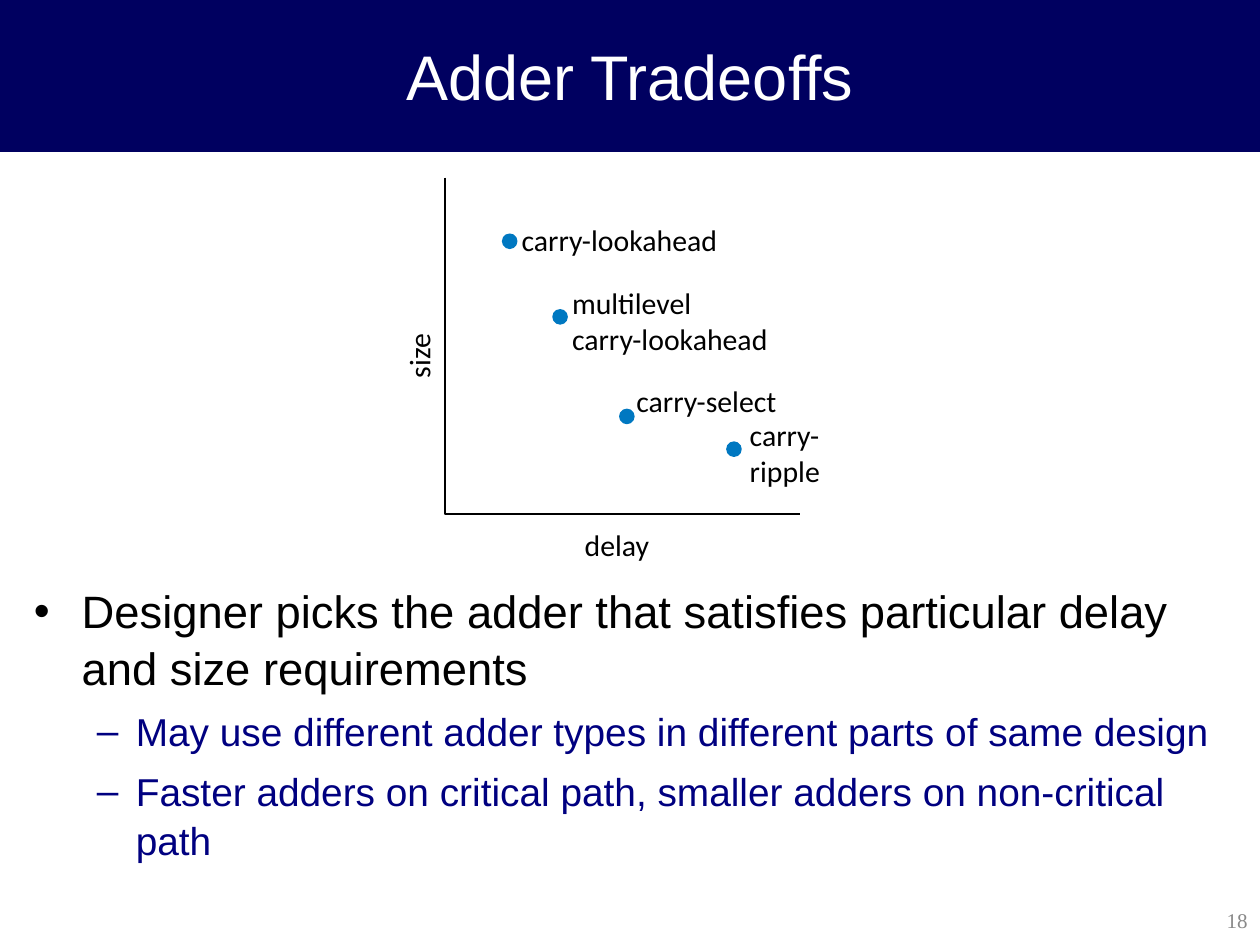
"""Build the adder tradeoffs slide."""
from lxml.etree import SubElement
from pptx import Presentation
from pptx.dml.color import RGBColor
from pptx.enum.shapes import MSO_SHAPE
from pptx.enum.text import MSO_ANCHOR, MSO_AUTO_SIZE, PP_ALIGN
from pptx.oxml.ns import qn
from pptx.util import Inches, Pt

HUES = {"bar": "000060", "white": "FFFFFF", "ink": "000000",
        "navy": "000080", "dot": "0078C1", "gray": "898989"}
FORMS = {
    "title": {"name": "Arial", "size": Pt(36), "hue": "white"},
    "main": {"name": "Arial", "size": Pt(25.9), "hue": "ink"},
    "sub": {"name": "Arial", "size": Pt(22.2), "hue": "navy"},
    "label": {"name": "Calibri", "size": Pt(17), "hue": "ink"},
    "page": {"name": "Times New Roman", "size": Pt(12), "hue": "gray"},
}
MARKS = {"main": ("•", 0.38, 0.38), "sub": ("–", 0.81, 0.31)}
DOTS = [(3.99, 1.86), (4.39, 2.46), (4.92, 3.25), (5.77, 3.51)]
LABELS = [
    ("delay", 4.64, 4.18, 0.59, 0.28, 0),
    ("carry-select", 5.05, 3.04, 1.28, 0.28, 0),
    ("carry-\nripple", 5.95, 3.31, 0.65, 0.57, 0),
    ("carry-lookahead", 4.14, 1.76, 1.8, 0.28, 0),
    ("multilevel\ncarry-lookahead", 4.54, 2.26, 1.8, 0.57, 0),
    ("size", 3.11, 2.65, 0.42, 0.28, 270),
]
POINTS = [
    ("main", "Designer picks the adder that satisfies particular delay "
             "and size requirements", 0),
    ("sub", "May use different adder types in different parts of same design", 6),
    ("sub", "Faster adders on critical path, smaller adders on non-critical path", 6),
]


class Board:
    """Hold the style and the current slide."""

    def __init__(self, deck):
        self.slide = deck.slides.add_slide(deck.slide_layouts[6])
        self.shapes = self.slide.shapes

    def color(self, hue):
        return RGBColor.from_string(HUES[hue])

    def style(self, para, form):
        for key, value in FORMS[form].items():
            if key == "hue":
                para.font.color.rgb = self.color(value)
            else:
                setattr(para.font, key, value)

    def frame(self, shape, pad=(0, 0), **props):
        frame = shape.text_frame
        side, edge = (Inches(n) for n in pad)
        base = {"margin_left": side, "margin_right": side,
                "margin_top": edge, "margin_bottom": edge, "word_wrap": True}
        for key, value in {**base, **props}.items():
            setattr(frame, key, value)
        return frame

    def words(self, frame, text, form, align=PP_ALIGN.LEFT):
        frame.text = text
        for para in frame.paragraphs:
            para.alignment = align
            self.style(para, form)

    def box(self, left, top, wide, high):
        return self.shapes.add_textbox(*map(Inches, (left, top, wide, high)))

    def solid(self, kind, area, hue, width):
        shape = self.shapes.add_shape(kind, *map(Inches, area))
        shape.shadow.inherit = False
        shape.fill.solid()
        shape.fill.fore_color.rgb = self.color(hue)
        shape.line.color.rgb = self.color(hue)
        shape.line.width = Pt(width)
        return shape

    def title(self, text):
        bar = self.solid(MSO_SHAPE.RECTANGLE, (0, 0, 10, 1.2), "bar", 0.75)
        frame = self.frame(bar, vertical_anchor=MSO_ANCHOR.MIDDLE)
        self.words(frame, text, "title", PP_ALIGN.CENTER)

    def dot(self, left, top):
        self.solid(MSO_SHAPE.OVAL, (left, top, 0.11, 0.11), "dot", 1)

    def axes(self, left, top, right, base):
        pen = self.shapes.build_freeform(Inches(left), Inches(top))
        ends = [(Inches(left), Inches(base)), (Inches(right), Inches(base))]
        pen.add_line_segments(ends, close=False)
        shape = pen.convert_to_shape()
        shape.shadow.inherit = False
        shape.fill.background()
        shape.line.color.rgb = self.color("ink")
        shape.line.width = Pt(1)

    def label(self, text, left, top, wide, high, turn):
        box = self.box(left, top, wide, high)
        box.rotation = turn
        frame = self.frame(box, word_wrap=False,
                           auto_size=MSO_AUTO_SIZE.SHAPE_TO_FIT_TEXT)
        self.words(frame, text, "label")

    def bullet(self, para, form):
        mark, left, hang = MARKS[form]
        props = para._p.get_or_add_pPr()
        props.set("marL", str(Inches(left)))
        props.set("indent", str(-Inches(hang)))
        SubElement(props, qn("a:buFont")).set("typeface", "Arial")
        SubElement(props, qn("a:buChar")).set("char", mark)

    def points(self, items):
        frame = self.frame(self.box(0.17, 4.61, 9.66, 2.49), (0.1, 0))
        for num, (form, text, gap) in enumerate(items):
            para = frame.add_paragraph() if num else frame.paragraphs[0]
            para.text = text
            para.level = int(form == "sub")
            para.line_spacing = 1.05
            para.space_before = Pt(gap)
            self.bullet(para, form)
            self.style(para, form)

    def page(self, text):
        frame = self.frame(self.box(7.88, 7.1, 2.12, 0.4), (0.1, 0.05),
                           vertical_anchor=MSO_ANCHOR.MIDDLE)
        self.words(frame, text, "page", PP_ALIGN.RIGHT)


def main():
    deck = Presentation()
    deck.slide_width, deck.slide_height = Inches(10), Inches(7.5)
    board = Board(deck)
    board.title("Adder Tradeoffs")
    board.points(POINTS)
    board.page("18")
    for spot in DOTS:
        board.dot(*spot)
    board.axes(3.53, 1.41, 6.35, 4.08)
    for item in LABELS:
        board.label(*item)
    deck.save("out.pptx")


if __name__ == "__main__":
    main()
